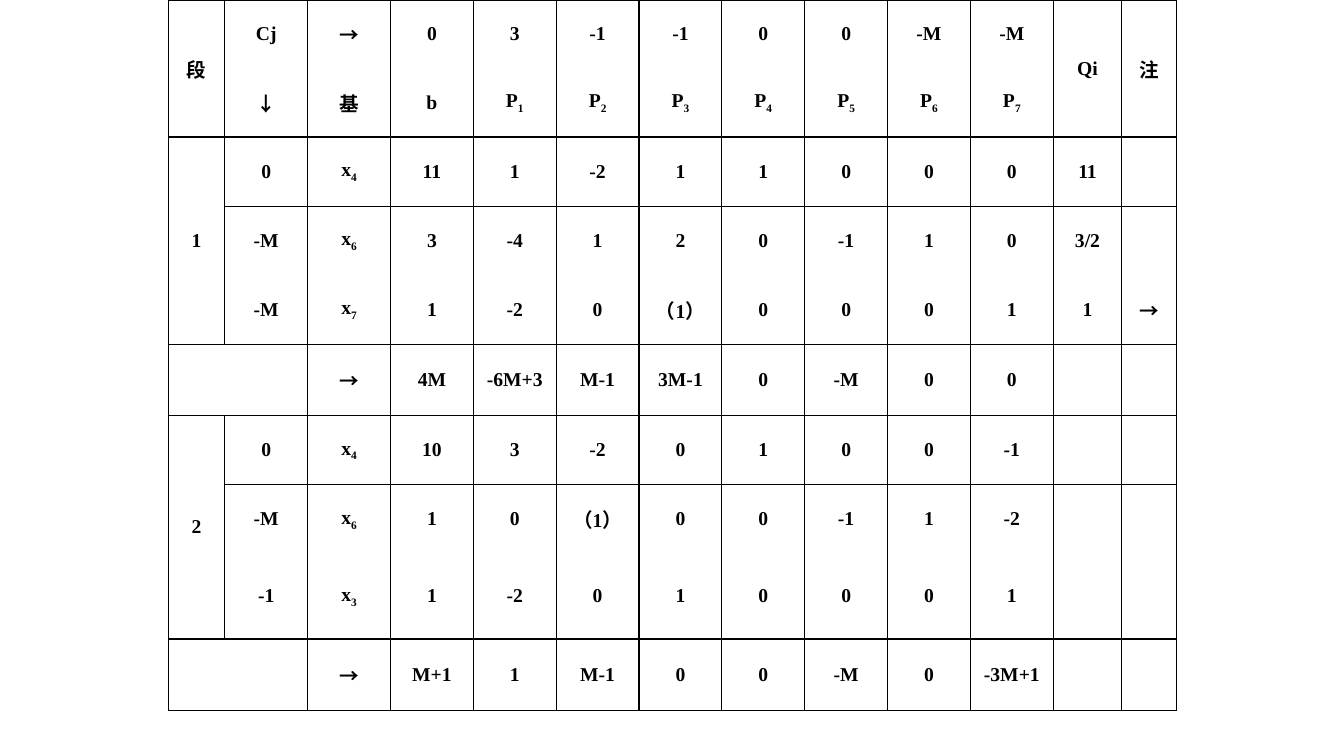
"""Builds a slide with a two-stage big-M simplex tableau."""
from lxml.etree import SubElement
from pptx import Presentation
from pptx.dml.color import RGBColor
from pptx.enum.text import MSO_ANCHOR, PP_ALIGN
from pptx.oxml.ns import qn
from pptx.util import Inches, Pt

COLORS = {"ink": "000000", "paper": "FFFFFF"}
NO_STYLE = "{2D5ABB26-0587-4C30-8999-92F81FD0307C}"
SUBSCRIPTED = {"P", "x"}

COLUMN_WIDTHS = [0.56] + [8.22 / 10] * 10 + [0.68, 0.54]
ROW_HEIGHTS = [0.68, 0.68, 0.69, 0.68, 0.69, 0.7, 0.69, 0.68, 0.85, 0.71]
BANDS = [(0, 1), (2, 4), (5, 5), (6, 8), (9, 9)]
MERGES = [(0, 0, 1, 0), (0, 11, 1, 11), (0, 12, 1, 12), (2, 0, 4, 0),
          (5, 0, 5, 1), (6, 0, 8, 0), (9, 0, 9, 1)]
TABLEAU = [
    ["段", "Cj", "→", "0", "3", "-1", "-1", "0", "0", "-M", "-M", "Qi", "注"],
    ["", "↓", "基", "b", "P1", "P2", "P3", "P4", "P5", "P6", "P7", "", ""],
    ["1", "0", "x4", "11", "1", "-2", "1", "1", "0", "0", "0", "11", ""],
    ["", "-M", "x6", "3", "-4", "1", "2", "0", "-1", "1", "0", "3/2", ""],
    ["", "-M", "x7", "1", "-2", "0", "（1）", "0", "0", "0", "1", "1", "→"],
    ["", "", "→", "4M", "-6M+3", "M-1", "3M-1", "0", "-M", "0", "0", "", ""],
    ["2", "0", "x4", "10", "3", "-2", "0", "1", "0", "0", "-1", "", ""],
    ["", "-M", "x6", "1", "0", "（1）", "0", "0", "-1", "1", "-2", "", ""],
    ["", "-1", "x3", "1", "-2", "0", "1", "0", "0", "0", "1", "", ""],
    ["", "", "→", "M+1", "1", "M-1", "0", "0", "-M", "0", "-3M+1", "", ""],
]


class TableauSlide:
    """Holds the text style and the slide being built."""

    latin_font = "Times New Roman"
    chinese_font = "Noto Sans CJK SC"
    text_size = Pt(14)
    line_width = Pt(1)

    def __init__(self, presentation):
        """Adds a blank slide."""
        self.slide = presentation.slides.add_slide(presentation.slide_layouts[6])
        self.slide.background.fill.solid()
        self.slide.background.fill.fore_color.rgb = RGBColor.from_string(COLORS["paper"])

    def add_text(self, cell, text):
        """Writes centred bold text with subscripts and Chinese glyphs."""
        cell.vertical_anchor = MSO_ANCHOR.MIDDLE
        paragraph = cell.text_frame.paragraphs[0]
        paragraph.alignment = PP_ALIGN.CENTER
        font = paragraph.font
        font.name, font.size, font.bold = self.latin_font, self.text_size, True
        font.color.rgb = RGBColor.from_string(COLORS["ink"])
        has_subscript = text[0] in SUBSCRIPTED
        has_brackets = text[0] == "（"
        for piece in text if has_subscript or has_brackets else [text]:
            run = paragraph.add_run()
            run.text = piece
            properties = run._r.get_or_add_rPr()
            if has_subscript and piece.isdigit():
                properties.set("baseline", "-25000")
            if not piece.isascii():
                run.font.name = self.chinese_font
                SubElement(properties, qn("a:ea"), typeface=self.chinese_font)

    def add_borders(self, cell, sides):
        """Draws the named sides of a cell."""
        properties = cell._tc.get_or_add_tcPr()
        for position, side in enumerate(sides):
            line = SubElement(properties, qn(f"a:ln{side}"), w=str(self.line_width))
            fill = SubElement(line, qn("a:solidFill"))
            SubElement(fill, qn("a:srgbClr"), val=COLORS["ink"])
            properties.insert(position, line)

    def border_sides(self, cell, row, column):
        """Returns the sides a cell shows within its band."""
        if cell.is_merge_origin:
            return "LRTB"
        first, last = next(band for band in BANDS if band[0] <= row <= band[1])
        joined_left = cell.is_spanned and first == last
        sides = "R" if joined_left else "LR"
        return sides + "T" * (row == first) + "B" * (row == last)

    def add_tableau(self, left, top):
        """Adds the simplex table."""
        frame = self.slide.shapes.add_table(
            len(ROW_HEIGHTS), len(COLUMN_WIDTHS), Inches(left), Inches(top),
            Inches(sum(COLUMN_WIDTHS)), Inches(sum(ROW_HEIGHTS)))
        table = frame.table
        table.first_row = table.horz_banding = False
        table._tbl.tblPr.find(qn("a:tableStyleId")).text = NO_STYLE
        for column, width in zip(table.columns, COLUMN_WIDTHS):
            column.width = Inches(width)
        for row, height in zip(table.rows, ROW_HEIGHTS):
            row.height = Inches(height)
        for top_row, left_column, bottom_row, right_column in MERGES:
            table.cell(top_row, left_column).merge(table.cell(bottom_row, right_column))
        for row, texts in enumerate(TABLEAU):
            for column, text in enumerate(texts):
                cell = table.cell(row, column)
                cell.fill.background()
                self.add_borders(cell, self.border_sides(cell, row, column))
                if text:
                    self.add_text(cell, text)


def main():
    """Builds and saves the presentation."""
    presentation = Presentation()
    presentation.slide_width = Inches(13.33)
    presentation.slide_height = Inches(7.5)
    TableauSlide(presentation).add_tableau(1.67, 0)
    presentation.save("out.pptx")


if __name__ == "__main__":
    main()
